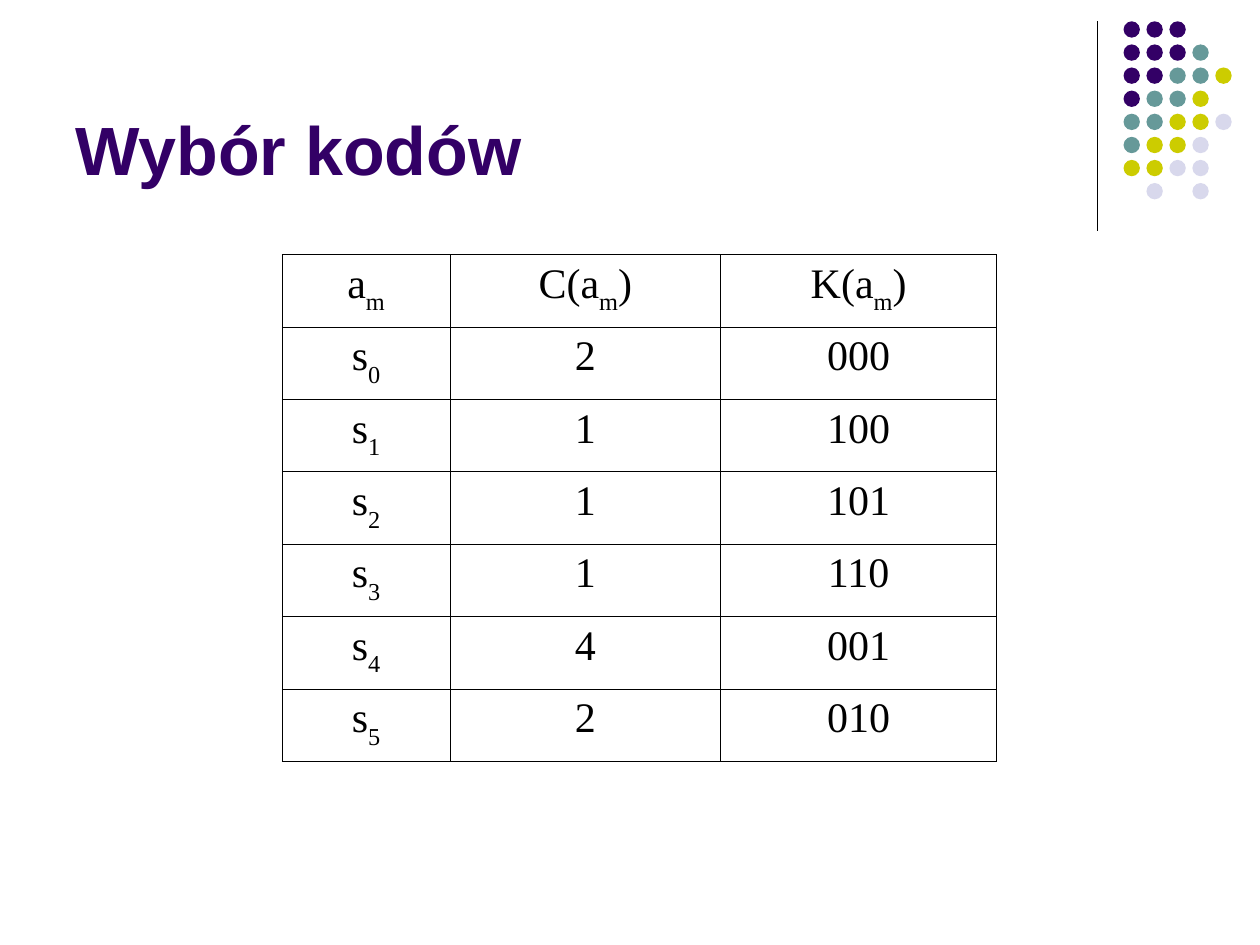
from dataclasses import dataclass

from lxml import etree
from pptx import Presentation
from pptx.dml.color import RGBColor
from pptx.enum import shapes, text
from pptx.oxml import ns
from pptx.util import Cm, Pt


@dataclass(frozen=True)
class Theme:
    ink: str = "000000"
    violet: str = "330066"
    teal: str = "669999"
    olive: str = "CCCC00"
    lilac: str = "D8D8EC"
    title_font: str = "Arial"
    table_font: str = "Times New Roman"
    title_size: float = 39
    table_size: float = 24
    rule_width: float = 0.75
    border_width: float = 0.45


THEME = Theme()
DOT_COLOURS = {"v": THEME.violet, "t": THEME.teal, "o": THEME.olive, "l": THEME.lilac}
DOT_ROWS = ["vvv  ", "vvvt ", "vvtto", "vtto ", "ttool", "tool ", "ooll ", " l l "]

# An underscore sets the next character as a subscript.
CODES = [
    ("a_m", "C(a_m)", "K(a_m)"),
    ("s_0", "2", "000"),
    ("s_1", "1", "100"),
    ("s_2", "1", "101"),
    ("s_3", "1", "110"),
    ("s_4", "4", "001"),
    ("s_5", "2", "010"),
]


def rgb(colour):
    return RGBColor.from_string(colour)


def style_run(r, font, size, colour, bold=False):
    r.font.name = font
    r.font.size = Pt(size)
    r.font.color.rgb = rgb(colour)
    r.font.bold = bold


def add_rule(s, x, top, bottom):
    line = s.shapes.add_connector(
        shapes.MSO_CONNECTOR.STRAIGHT, Cm(x), Cm(top), Cm(x), Cm(bottom))
    line.line.color.rgb = rgb(THEME.ink)
    line.line.width = Pt(THEME.rule_width)
    etree.SubElement(line._element.spPr, ns.qn("a:effectLst"))


def add_dots(s, left, top, width, height, size=0.33):
    """Spread the dot pattern evenly over the box, as one group."""
    group = s.shapes.add_group_shape()
    step_x = (width - size) / (len(DOT_ROWS[0]) - 1)
    step_y = (height - size) / (len(DOT_ROWS) - 1)
    for row, keys in enumerate(DOT_ROWS):
        for col, key in enumerate(keys):
            if key == " ":
                continue
            dot = group.shapes.add_shape(
                shapes.MSO_SHAPE.OVAL, Cm(left + col * step_x),
                Cm(top + row * step_y), Cm(size), Cm(size))
            dot.shadow.inherit = False
            dot.fill.solid()
            dot.fill.fore_color.rgb = rgb(DOT_COLOURS[key])
            dot.line.fill.background()


def add_title(s, title, left, top, width, height):
    tf = s.shapes.add_textbox(Cm(left), Cm(top), Cm(width), Cm(height)).text_frame
    tf.word_wrap = True
    tf.vertical_anchor = text.MSO_ANCHOR.BOTTOM
    tf.text = title
    style_run(tf.paragraphs[0].runs[0], THEME.title_font, THEME.title_size,
              THEME.violet, bold=True)


def add_borders(cell):
    tc_pr = cell._tc.get_or_add_tcPr()
    for i, side in enumerate(("lnL", "lnR", "lnT", "lnB")):
        ln = etree.Element(ns.qn(f"a:{side}"), w=str(Pt(THEME.border_width)))
        fill = etree.SubElement(ln, ns.qn("a:solidFill"))
        etree.SubElement(fill, ns.qn("a:srgbClr"), val=THEME.ink)
        tc_pr.insert(i, ln)


def fill_cell(cell, content):
    cell.fill.background()
    add_borders(cell)
    p = cell.text_frame.paragraphs[0]
    p.alignment = text.PP_ALIGN.CENTER
    base, _, rest = content.partition("_")
    for part, offset in ((base, 0), (rest[:1], -30000), (rest[1:], 0)):
        if part:
            r = p.add_run()
            r.text = part
            style_run(r, THEME.table_font, THEME.table_size, THEME.ink)
            if offset:
                r.font._element.set("baseline", str(offset))


def add_code_table(s, left, top, col_widths, row_height):
    table = s.shapes.add_table(
        len(CODES), len(col_widths), Cm(left), Cm(top),
        Cm(sum(col_widths)), Cm(row_height * len(CODES))).table
    table.first_row = table.horz_banding = False
    for column, width in zip(table.columns, col_widths):
        column.width = Cm(width)
    for row, contents in zip(table.rows, CODES):
        row.height = Cm(row_height)
        for cell, content in zip(row.cells, contents):
            fill_cell(cell, content)


def main():
    prs = Presentation()
    prs.slide_width, prs.slide_height = Cm(25.4), Cm(19.05)
    s = prs.slides.add_slide(prs.slide_layouts[6])
    add_rule(s, 22.12, 0.43, 4.65)
    add_dots(s, 22.65, 0.43, 2.18, 3.59)
    add_title(s, "Wybór kodów", 1.27, 0.33, 20.95, 3.6)
    add_code_table(s, 5.69, 5.13, (3.38, 5.46, 5.56), 1.46)
    prs.save("out.pptx")


if __name__ == "__main__":
    main()
